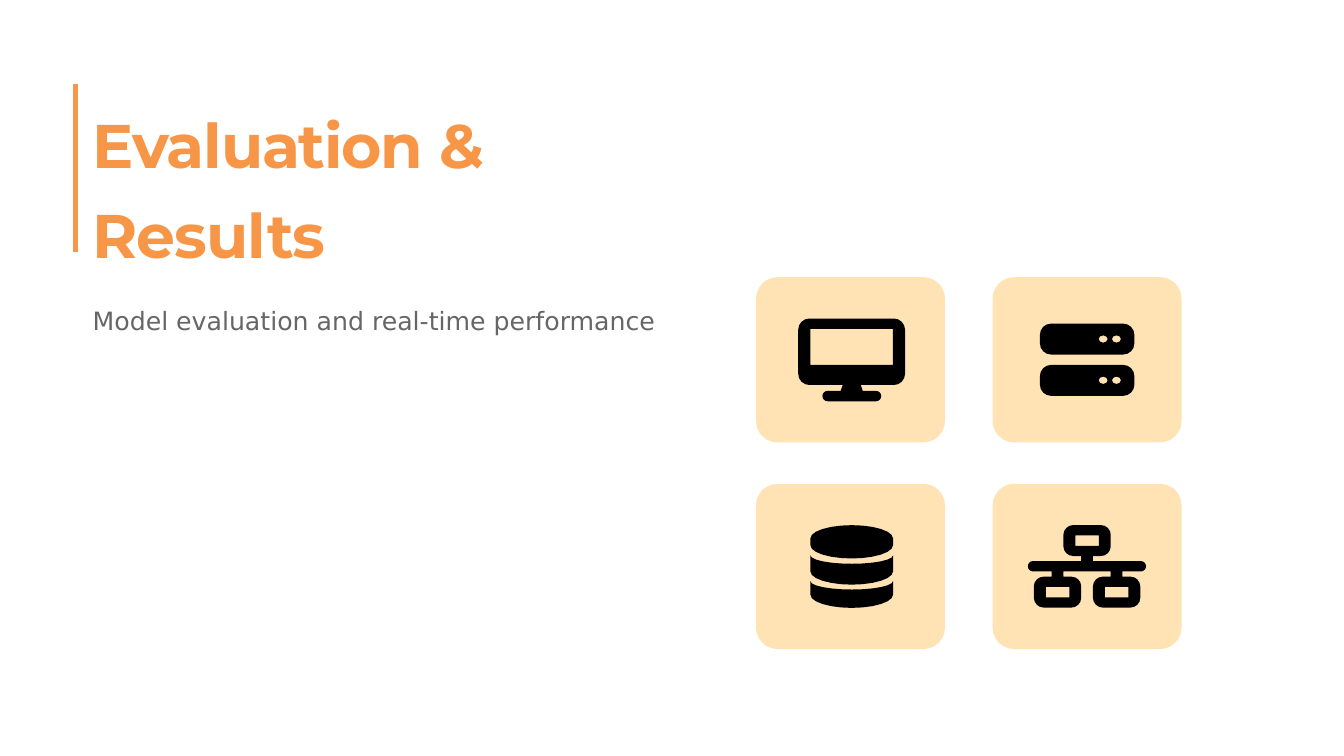
from math import cos, radians, sin

from lxml.etree import SubElement
from pptx import Presentation
from pptx.dml.color import RGBColor
from pptx.enum.shapes import MSO_CONNECTOR as CONN, MSO_SHAPE as SHAPE
from pptx.oxml.ns import qn
from pptx.util import Pt

ORANGE, CREAM, GREY, BLACK = "F79646", "FFE3B4", "666666", "000000"


def color(value):
    return RGBColor.from_string(value)


def set_fill(sp, value):
    sp.fill.solid()
    sp.fill.fore_color.rgb = color(value)
    sp.line.fill.background()
    sp.shadow.inherit = False


def arc(cx, cy, rx, ry, start, end, steps=12):
    angles = [radians(start + (end - start) * i / steps) for i in range(steps + 1)]
    return [(cx + rx * cos(a), cy + ry * sin(a)) for a in angles]


def rect(x, y, w, h):
    return [(x, y), (x + w, y), (x + w, y + h), (x, y + h)]


def rounded(x, y, w, h, r):
    corners = [(x + w - r, y + h - r), (x + r, y + h - r), (x + r, y + r), (x + w - r, y + r)]
    return [pt for i, (cx, cy) in enumerate(corners)
            for pt in arc(cx, cy, r, r, 90 * i, 90 * i + 90, 4)]


def monitor_icon():
    neck = [(62, 77), (74.9, 77), (76.3, 81.2), (60.5, 81.2)]
    return [rounded(30.2, 29.5, 76.3, 47.5, 8), rect(38.9, 36.9, 59, 25.7),
            neck, rounded(47.5, 81.2, 42, 7.4, 3.7)]


def server_icon():
    outlines = []
    for y in (33.2, 62.7):
        outlines.append(rounded(33.8, y, 67.5, 22.1, 8))
        outlines += [arc(cx, y + 11, 3.2, 2.6, 0, 360, 8) for cx in (79, 88.5)]
    return outlines


def database_icon():
    cx, rx, ry = 68.4, 29.5, 9.4
    outlines = [arc(cx, 38.9, rx, ry, 180, 360) + arc(cx, 43.9, rx, ry, 0, 180)]
    for top, bottom in ((51.1, 62.6), (69.5, 79.2)):
        outlines.append(arc(cx, top, rx, 6, 180, 0) + arc(cx, bottom, rx, ry, 0, 180))
    return outlines


def network_icon():
    outlines = [rounded(25.2, 55.2, 84.4, 7.4, 3.7)]
    for x, y in ((50.6, 29.5), (29.5, 66.3), (71.7, 66.3)):
        outlines += [rounded(x, y, 33.8, 22.1, 7), rect(x + 8.5, y + 7.3, 16.8, 7.5)]
    for x, y in ((63.2, 51.6), (42.1, 62.6), (84.3, 62.6)):
        outlines.append(rect(x, y, 8.4, 3.7))
    return outlines


def add_icon(s, left, top, outlines):
    builder = None
    for outline in outlines:
        pts = [(Pt(left + x), Pt(top + y)) for x, y in outline]
        if builder is None:
            builder = s.shapes.build_freeform(*pts[0], scale=1.0)
        else:
            builder.move_to(*pts[0])
        builder.add_line_segments(pts[1:], close=True)
    set_fill(builder.convert_to_shape(), BLACK)


def add_icon_grid(s, left, top, width, height):
    tile_w, tile_h = 135, 118
    step_x, step_y = width - tile_w, height - tile_h
    icons = (monitor_icon, server_icon, database_icon, network_icon)
    for i, icon in enumerate(icons):
        row, col = divmod(i, 2)
        x, y = left + col * step_x, top + row * step_y
        tile = s.shapes.add_shape(SHAPE.ROUNDED_RECTANGLE, Pt(x), Pt(y), Pt(tile_w), Pt(tile_h))
        tile.adjustments[0] = 0.13
        set_fill(tile, CREAM)
        add_icon(s, x, y, icon())


def add_text(s, box, runs, inset_top, line_spacing, fmt, value):
    tf = s.shapes.add_textbox(*map(Pt, box)).text_frame
    frame = dict(word_wrap=True, margin_left=0, margin_right=0,
                 margin_top=Pt(inset_top), margin_bottom=0)
    for name, setting in frame.items():
        setattr(tf, name, setting)
    p = tf.paragraphs[0]
    p.line_spacing = line_spacing
    for text, spacing in runs:
        r = p.add_run()
        r.text = text
        for name, setting in fmt.items():
            setattr(r.font, name, setting)
        r.font.color.rgb = color(value)
        if spacing:
            r._r.get_or_add_rPr().set("spc", str(spacing))


def add_heading(s, left, top, width, height):
    add_text(s, (left + 12.2, top, 312, 128),
             [("Evaluation ", -90), ("& ", -110), ("Results", -80)],
             4.5, Pt(64.5), dict(size=Pt(44), name="Montserrat", bold=True), ORANGE)
    add_text(s, (left + 12.2, top + 153, width - 12.2, 24),
             [("Model evaluation and real-time performance", 0)],
             1.6, 1.16, dict(size=Pt(18), name="DejaVu Sans"), GREY)
    bar = s.shapes.add_connector(CONN.STRAIGHT, Pt(left), Pt(top), Pt(left), Pt(top + height))
    bar.line.color.rgb = color(ORANGE)
    bar.line.width = Pt(4)
    SubElement(bar._element.spPr, qn("a:effectLst"))


def main():
    prs = Presentation()
    prs.slide_width, prs.slide_height = Pt(960), Pt(540)
    s = prs.slides.add_slide(prs.slide_layouts[6])
    add_heading(s, 54, 60, 500, 120)
    add_icon_grid(s, 540, 198, 304, 265.6)
    prs.save("out.pptx")


if __name__ == "__main__":
    main()
